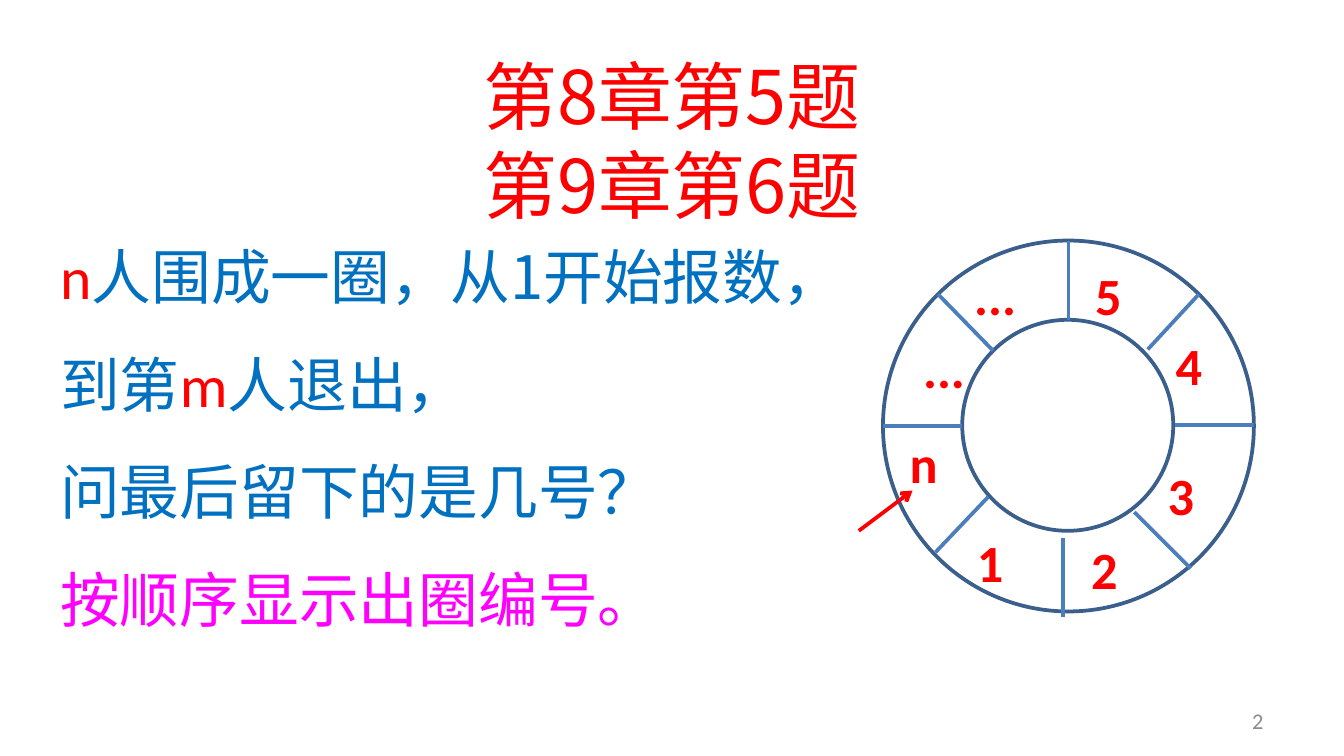
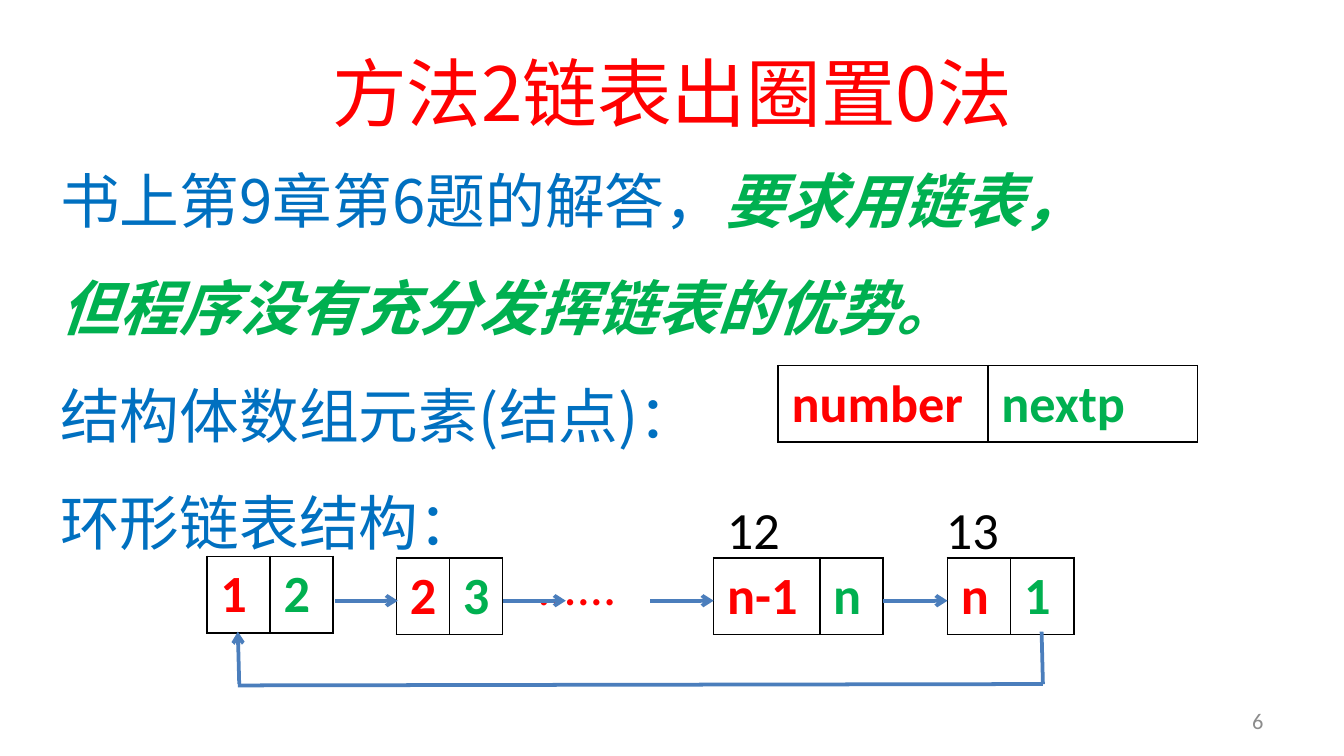
from lxml.etree import SubElement
from pptx import Presentation
from pptx.dml.color import RGBColor
from pptx.enum.shapes import MSO_CONNECTOR as CONNECTOR, MSO_SHAPE as SHAPE
from pptx.enum.text import MSO_ANCHOR as ANCHOR, PP_ALIGN as ALIGN
from pptx.oxml.ns import qn
from pptx.util import Inches, Pt

RED, BLUE, GREEN, PINK = "FF0000", "0070C0", "00B050", "FF00FF"
BLACK, GRAY, RING, LINE = "000000", "8C8C8C", "3A5F8C", "4B7EBC"
LATIN, CHINESE = "Calibri", "Noto Sans CJK SC"


def write(para, text, size, color, font=LATIN, bold=False, italic=False):
    span = para.add_run()
    span.text = text
    span.font.size = Pt(size)
    span.font.name = font
    span.font.bold = bold
    span.font.italic = italic
    span.font.color.rgb = RGBColor.from_string(color)
    SubElement(span.font._element, qn("a:ea"), typeface=font)


def connect(page, start, end, color=LINE, arrow=False):
    line = page.shapes.add_connector(
        CONNECTOR.STRAIGHT, *[Inches(v) for v in (*start, *end)])
    line.line.color.rgb = RGBColor.from_string(color)
    line.line.width = Pt(2)
    if arrow:
        SubElement(line.line._get_or_add_ln(), qn("a:tailEnd"), type="arrow")
    SubElement(line._element.spPr, qn("a:effectLst"))


# A 16:9 deck
deck = Presentation()
deck.slide_width = Inches(10)
deck.slide_height = Inches(10) * 9 // 16

# What the slides share: title, page number and body text
# A body span is (text, color, font, bold italic)
slides = [
    dict(title=["第8章第5题", "第9章第6题"], title_height=1.51, title_size=39.6,
         number="2", body_at=(1.47, 6.04), body=[
             [("n", RED, LATIN, False),
              ("人围成一圈，从1开始报数，", BLUE, CHINESE, False)],
             [("到第", BLUE, CHINESE, False), ("m", RED, LATIN, False),
              ("人退出，", BLUE, CHINESE, False)],
             [("问最后留下的是几号？", BLUE, CHINESE, False)],
             [("按顺序显示出圈编号。", PINK, CHINESE, False)]]),
    dict(title=["方法2链表出圈置0法"], title_height=0.8, title_size=40,
         number="6", body_at=(0.9, 7.84), body=[
             [("书上第9章第6题的解答，", BLUE, CHINESE, False),
              ("要求用链表，", GREEN, CHINESE, True)],
             [("但程序没有充分发挥链表的优势。", GREEN, CHINESE, True)],
             [("结构体数组元素(结点)：", BLUE, CHINESE, False)],
             [("环形链表结构：", BLUE, CHINESE, False)]]),
]
pages = []
for content in slides:
    page = deck.slides.add_slide(deck.slide_layouts[6])
    pages.append(page)

    box = page.shapes.add_textbox(
        Inches(0.5), Inches(0.28), Inches(9), Inches(content["title_height"]))
    box.text_frame.word_wrap = True
    box.text_frame.vertical_anchor = ANCHOR.MIDDLE
    para = box.text_frame.paragraphs[0]
    para.alignment = ALIGN.CENTER
    for index, text in enumerate(content["title"]):
        if index:
            para.add_line_break()
        write(para, text, content["title_size"], RED, CHINESE)

    box = page.shapes.add_textbox(
        Inches(7.17), Inches(5.21), Inches(2.33), Inches(0.3))
    box.text_frame.word_wrap = True
    box.text_frame.vertical_anchor = ANCHOR.MIDDLE
    para = box.text_frame.paragraphs[0]
    para.alignment = ALIGN.RIGHT
    write(para, content["number"], 12, GRAY)

    top, width = content["body_at"]
    box = page.shapes.add_textbox(
        Inches(0.35), Inches(top), Inches(width), Inches(3.33))
    box.text_frame.word_wrap = False
    for index, spans in enumerate(content["body"]):
        para = box.text_frame.paragraphs[0] if index == 0 else box.text_frame.add_paragraph()
        para.line_spacing = 1.5
        for text, color, font, strong in spans:
            write(para, text, 32, color, font, strong, strong)

circle_page, list_page = pages

# Ring of people: two circles and eight dividers
for left, top, size in [(7.16, 2.38, 1.57), (6.57, 1.79, 2.76)]:
    circle = circle_page.shapes.add_shape(
        SHAPE.OVAL, Inches(left), Inches(top), Inches(size), Inches(size))
    circle.shadow.inherit = False
    circle.fill.background()
    circle.line.color.rgb = RGBColor.from_string(RING)
    circle.line.width = Pt(2)

dividers = [
    ((7.95, 1.79), (7.95, 2.38)), ((7.91, 4), (7.91, 4.59)),
    ((6.57, 3.17), (7.16, 3.17)), ((8.74, 3.16), (9.33, 3.16)),
    ((6.98, 2.19), (7.39, 2.61)), ((8.44, 3.81), (8.86, 4.23)),
    ((8.92, 2.19), (8.54, 2.6)), ((7.35, 3.7), (6.96, 4.11)),
]
for start, end in dividers:
    connect(circle_page, start, end)
connect(circle_page, (6.39, 3.95), (6.79, 3.65), RED, arrow=True)

# Labels of the people
labels = [
    ("1", 7.17, 3.9, 0.4), ("2", 8.02, 3.95, 0.4), ("3", 8.59, 3.4, 0.4),
    ("4", 8.65, 2.43, 0.4), ("5", 8.05, 1.91, 0.4), ("n", 6.67, 3.16, 0.41),
    ("...", 7.15, 1.91, 0.52), ("...", 6.77, 2.45, 0.52),
]
for text, left, top, width in labels:
    box = circle_page.shapes.add_textbox(
        Inches(left), Inches(top), Inches(width), Inches(0.57))
    box.text_frame.word_wrap = False
    write(box.text_frame.paragraphs[0], text, 28, RED, bold=True)

# List nodes: one row of number and next pointer
nodes = [
    (2.95, 4.15, (0.79 / 2, 0.79 / 2), ("2", "3")),
    (5.31, 4.15, (0.79, 0.47), ("n-1", "n")),
    (7.05, 4.15, (0.47, 0.47), ("n", "1")),
    (1.54, 4.14, (0.47, 0.47), ("1", "2")),
    (5.79, 2.72, (1.56, 1.56), ("number", "nextp")),
]
for left, top, widths, texts in nodes:
    table = list_page.shapes.add_table(
        1, 2, Inches(left), Inches(top), Inches(sum(widths)), Inches(0.57)).table
    table.first_row = table.horz_banding = False
    for index, color in enumerate((RED, GREEN)):
        table.columns[index].width = Inches(widths[index])
        cell = table.cell(0, index)
        write(cell.text_frame.paragraphs[0], texts[index], 28, color, bold=True)
        properties = cell._tc.get_or_add_tcPr()
        for side in ("a:lnL", "a:lnR", "a:lnT", "a:lnB"):
            border = SubElement(properties, qn(side), w=str(Pt(1)))
            fill = SubElement(border, qn("a:solidFill"))
            SubElement(fill, qn("a:srgbClr"), val=BLACK)
        cell.fill.background()

# Dots between the nodes
box = list_page.shapes.add_textbox(
    Inches(3.9), Inches(4.07), Inches(0.8), Inches(0.57))
box.text_frame.word_wrap = False
write(box.text_frame.paragraphs[0], "......", 28, RED)

# Arrows from node to node, then the way back to the first
for start, end in [(6.57, 7.05), (4.84, 5.31), (2.49, 2.96), (3.74, 4.21)]:
    connect(list_page, (start, 4.47), (end, 4.47), arrow=True)
connect(list_page, (1.78, 5.09), (1.77, 4.7), arrow=True)
connect(list_page, (1.77, 5.1), (7.76, 5.09))
connect(list_page, (7.76, 5.09), (7.75, 4.7))

# Numbers above the last two nodes, set apart by a tab stop
box = list_page.shapes.add_textbox(
    Inches(5.31), Inches(3.65), Inches(2.25), Inches(0.57))
box.text_frame.word_wrap = False
para = box.text_frame.paragraphs[0]
tabs = SubElement(para._p.get_or_add_pPr(), qn("a:tabLst"))
SubElement(tabs, qn("a:tab"), pos=str(Inches(1.63)), algn="l")
write(para, "12\t13", 28, BLACK)

deck.save("out.pptx")
